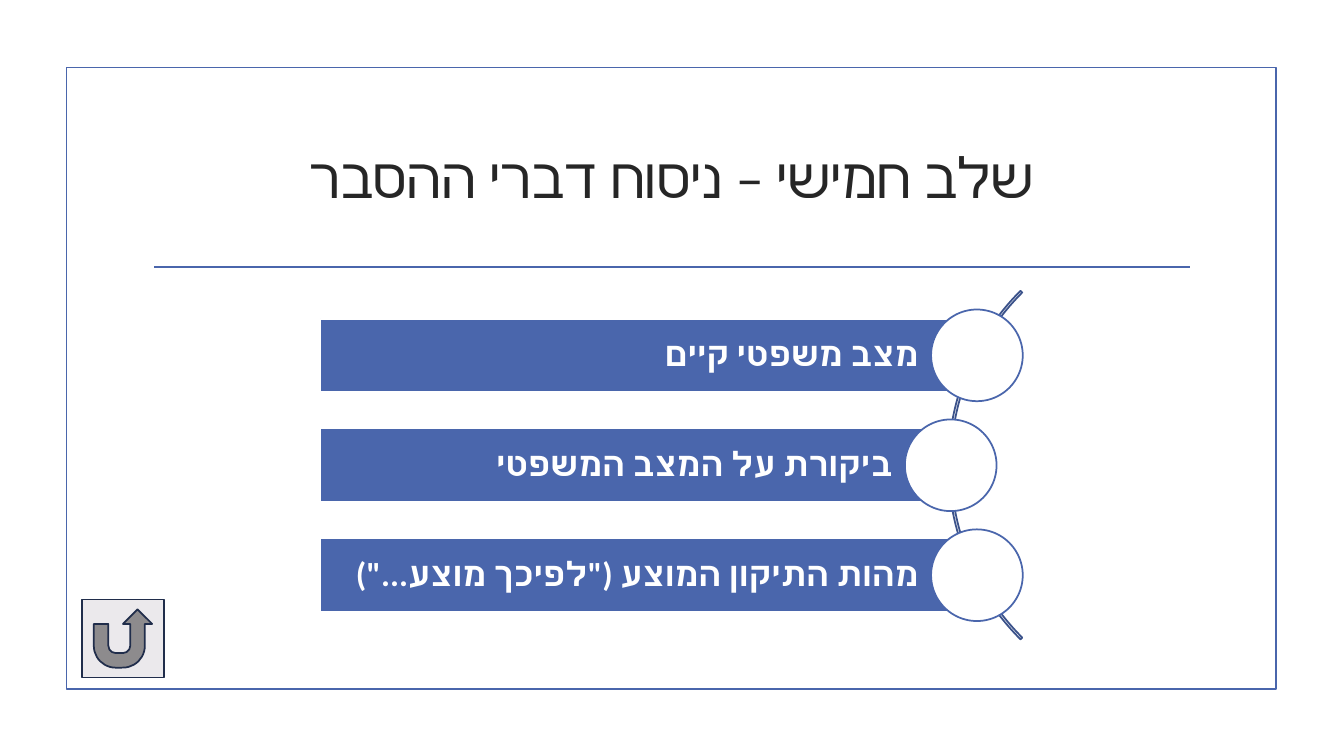
from dataclasses import dataclass

import pptx
import pptx.dml.color
import pptx.enum.shapes
import pptx.enum.text
import pptx.oxml.ns
import pptx.util
from lxml import etree
from pptx.util import Cm

COLORS = {
    "blue": "4A66AC",
    "arc": "3B528A",
    "navy": "202D4B",
    "button": "EBE9EC",
    "white": "FFFFFF",
    "title": "262626",
}
FONT = "Calibri"
SHAPE = pptx.enum.shapes.MSO_SHAPE
ALIGN = pptx.enum.text.PP_ALIGN
BAR_LEFT, BAR_TOP, BAR_HEIGHT, BAR_PITCH = 8.08, 8.03, 1.85, 2.77
CIRCLE = 2.31


@dataclass
class Step:
    text: str
    width: float


STEPS = [
    Step("מצב משפטי קיים", 16.54),
    Step("ביקורת על המצב המשפטי", 15.88),
    Step('מהות התיקון המוצע ("לפיכך מוצע...")', 16.54),
]


def rgb(name: str) -> pptx.dml.color.RGBColor:
    return pptx.dml.color.RGBColor.from_string(COLORS[name])


def add_shape(s, kind, left: float, top: float, width: float, height: float,
              line: str, fill: str | None = None):
    sp = s.shapes.add_shape(kind, Cm(left), Cm(top), Cm(width), Cm(height))
    sp.shadow.inherit = False
    if fill:
        sp.fill.solid()
        sp.fill.fore_color.rgb = rgb(fill)
    else:
        sp.fill.background()
    sp.line.color.rgb = rgb(line)
    sp.line.width = pptx.util.Pt(1.25)
    return sp


def add_rule(s, left: float, right: float, top: float) -> None:
    rule = s.shapes.add_connector(pptx.enum.shapes.MSO_CONNECTOR.STRAIGHT,
                                  Cm(left), Cm(top), Cm(right), Cm(top))
    rule.line.color.rgb = rgb("blue")
    rule.line.width = pptx.util.Pt(1.25)
    etree.SubElement(rule._element.spPr, pptx.oxml.ns.qn("a:effectLst"))


def write_rtl(sp, text: str, size: int, color: str, align, bold: bool = False) -> None:
    tf = sp.text_frame
    tf.word_wrap = True
    tf.vertical_anchor = pptx.enum.text.MSO_ANCHOR.MIDDLE
    p = tf.paragraphs[0]
    p.text = text
    p.alignment = align
    p.line_spacing = 0.9
    p.font.name = FONT
    p.font.size = pptx.util.Pt(size)
    p.font.bold = bold
    p.font.color.rgb = rgb(color)
    pPr = p._p.get_or_add_pPr()
    pPr.set("rtl", "1")
    defaults = pPr.find(pptx.oxml.ns.qn("a:defRPr"))
    etree.SubElement(defaults, pptx.oxml.ns.qn("a:cs"), typeface=FONT)


def add_step(s, step: Step, top: float) -> None:
    bar = add_shape(s, SHAPE.RECTANGLE, BAR_LEFT, top, step.width, BAR_HEIGHT,
                    "white", "blue")
    tf = bar.text_frame
    tf.margin_left = tf.margin_top = tf.margin_bottom = Cm(0.18)
    tf.margin_right = Cm(1.47)
    write_rtl(bar, step.text, 24, "white", ALIGN.RIGHT, bold=True)
    add_shape(s, SHAPE.OVAL, BAR_LEFT + step.width - CIRCLE / 2,
              top + (BAR_HEIGHT - CIRCLE) / 2, CIRCLE, CIRCLE, "blue", "white")


def main() -> None:
    prs = pptx.Presentation()
    prs.slide_width, prs.slide_height = Cm(33.87), Cm(19.05)
    s = prs.slides.add_slide(prs.slide_layouts[5])

    title = s.shapes.title
    title.left, title.top, title.width, title.height = Cm(3.6), Cm(2.72), Cm(26.67), Cm(3.63)
    write_rtl(title, "שלב חמישי – ניסוח דברי ההסבר", 40, "title", ALIGN.CENTER)

    add_shape(s, SHAPE.RECTANGLE, 1.68, 1.7, 30.48, 15.67, "blue")
    add_rule(s, 3.89, 30, 6.73)

    arc = add_shape(s, SHAPE.BLOCK_ARC, 23.9, 5.51, 12.42, 12.42, "arc")
    for i, value in enumerate((81, 135, 0.005)):
        arc.adjustments[i] = value

    for i, step in enumerate(STEPS):
        add_step(s, step, BAR_TOP + i * BAR_PITCH)

    add_shape(s, SHAPE.ACTION_BUTTON_RETURN, 2.06, 15.11, 2.08, 1.96, "navy", "button")
    prs.save("out.pptx")


if __name__ == "__main__":
    main()
